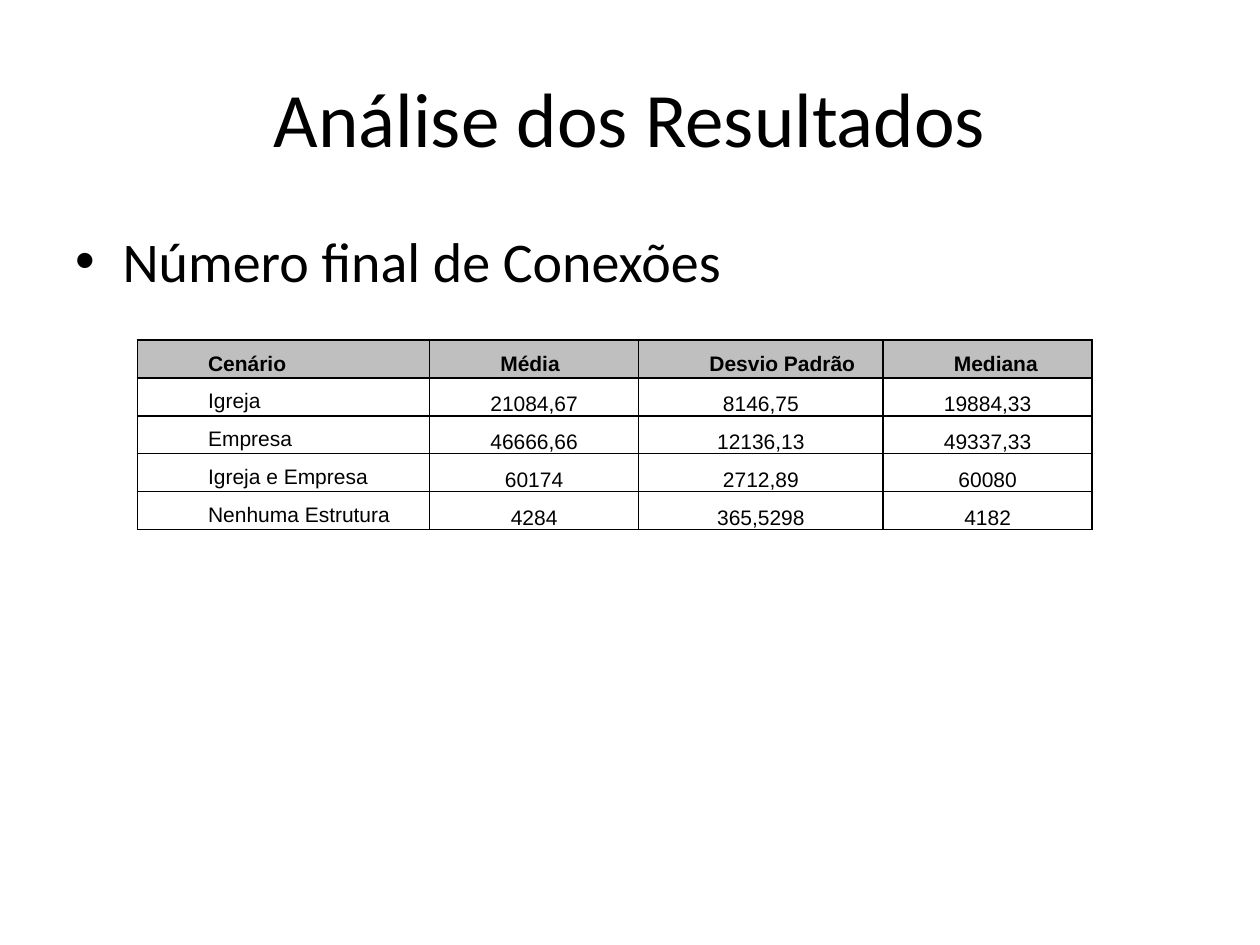
from dataclasses import dataclass

from lxml.etree import SubElement
from pptx import Presentation
from pptx.dml.color import RGBColor
from pptx.enum.text import MSO_ANCHOR, PP_ALIGN
from pptx.oxml.ns import qn
from pptx.util import Pt


@dataclass(frozen=True)
class Theme:
    ink: str = "000000"
    header_fill: str = "BFBFBF"
    heading_font: str = "Calibri"
    table_font: str = "Arial"
    title_size: float = 44
    bullet_size: float = 32
    table_size: float = 12
    border_width: float = 1


THEME = Theme()

COLUMN_WIDTHS = (167, 119.5, 139.7, 119.5)
ROW_HEIGHT = 20.25
RESULTS = (
    ("Cenário", "Média", "Desvio Padrão", "Mediana"),
    ("Igreja", "21084,67", "8146,75", "19884,33"),
    ("Empresa", "46666,66", "12136,13", "49337,33"),
    ("Igreja e Empresa", "60174", "2712,89", "60080"),
    ("Nenhuma Estrutura", "4284", "365,5298", "4182"),
)


def write(paragraph, text, font_name, size, bold=False):
    paragraph.text = text
    font = paragraph.runs[0].font
    font.name = font_name
    font.size = Pt(size)
    font.bold = bold
    font.color.rgb = RGBColor.from_string(THEME.ink)


def add_text(slide, text, left, top, width, height, size, anchor):
    frame = slide.shapes.add_textbox(Pt(left), Pt(top), Pt(width), Pt(height)).text_frame
    frame.word_wrap = True
    frame.vertical_anchor = anchor
    paragraph = frame.paragraphs[0]
    write(paragraph, text, THEME.heading_font, size)
    return paragraph


def set_indent(paragraph, margin, first_line):
    properties = paragraph._p.get_or_add_pPr()
    properties.set("marL", str(Pt(margin)))
    properties.set("indent", str(Pt(first_line)))
    return properties


def add_bullet(paragraph):
    properties = set_indent(paragraph, 27, -27)
    paragraph.space_before = Pt(THEME.bullet_size * 0.2)
    SubElement(properties, qn("a:buFont"), typeface="Arial")
    SubElement(properties, qn("a:buChar"), char="•")


def add_borders(cell):
    properties = cell._tc.get_or_add_tcPr()
    for side in ("lnL", "lnR", "lnT", "lnB"):
        line = SubElement(properties, qn(f"a:{side}"), w=str(Pt(THEME.border_width)))
        fill = SubElement(line, qn("a:solidFill"))
        SubElement(fill, qn("a:srgbClr"), val=THEME.ink)


def format_label(cell):
    """Headers and scenario names: justified with a first-line indent."""
    cell.margin_left = cell.margin_right = Pt(5.04)
    cell.margin_top = cell.margin_bottom = Pt(0)
    paragraph = cell.text_frame.paragraphs[0]
    paragraph.alignment = PP_ALIGN.JUSTIFY
    paragraph.line_spacing = 1.5
    paragraph.space_before = paragraph.space_after = Pt(6)
    set_indent(paragraph, 0, 35.4)


def format_value(cell):
    """Figures: centred at the bottom of the cell."""
    cell.margin_left = cell.margin_right = cell.margin_top = Pt(0.72)
    cell.margin_bottom = Pt(0)
    cell.vertical_anchor = MSO_ANCHOR.BOTTOM
    cell.text_frame.paragraphs[0].alignment = PP_ALIGN.CENTER


def add_results_table(slide, left, top):
    table = slide.shapes.add_table(
        len(RESULTS), len(COLUMN_WIDTHS), Pt(left), Pt(top),
        Pt(sum(COLUMN_WIDTHS)), Pt(ROW_HEIGHT * len(RESULTS)),
    ).table
    table.first_row = table.horz_banding = False
    for column, width in zip(table.columns, COLUMN_WIDTHS):
        column.width = Pt(width)

    for row_index, record in enumerate(RESULTS):
        table.rows[row_index].height = Pt(ROW_HEIGHT)
        is_header = row_index == 0
        for column_index, entry in enumerate(record):
            cell = table.cell(row_index, column_index)
            write(cell.text_frame.paragraphs[0], entry,
                  THEME.table_font, THEME.table_size, bold=is_header)
            if is_header or column_index == 0:
                format_label(cell)
            else:
                format_value(cell)
            add_borders(cell)
            if is_header:
                cell.fill.solid()
                cell.fill.fore_color.rgb = RGBColor.from_string(THEME.header_fill)
            else:
                cell.fill.background()


def main():
    presentation = Presentation()
    presentation.slide_width = Pt(720)
    presentation.slide_height = Pt(540)
    slide = presentation.slides.add_slide(presentation.slide_layouts[6])

    # Title
    title = add_text(slide, "Análise dos Resultados", 36, 21.6, 648, 90,
                     THEME.title_size, MSO_ANCHOR.MIDDLE)
    title.alignment = PP_ALIGN.CENTER

    # Topic
    topic = add_text(slide, "Número final de Conexões", 36, 126, 648, 356.4,
                     THEME.bullet_size, MSO_ANCHOR.TOP)
    add_bullet(topic)

    # Results by scenario
    add_results_table(slide, 78.5, 194.4)

    presentation.save("out.pptx")


if __name__ == "__main__":
    main()
